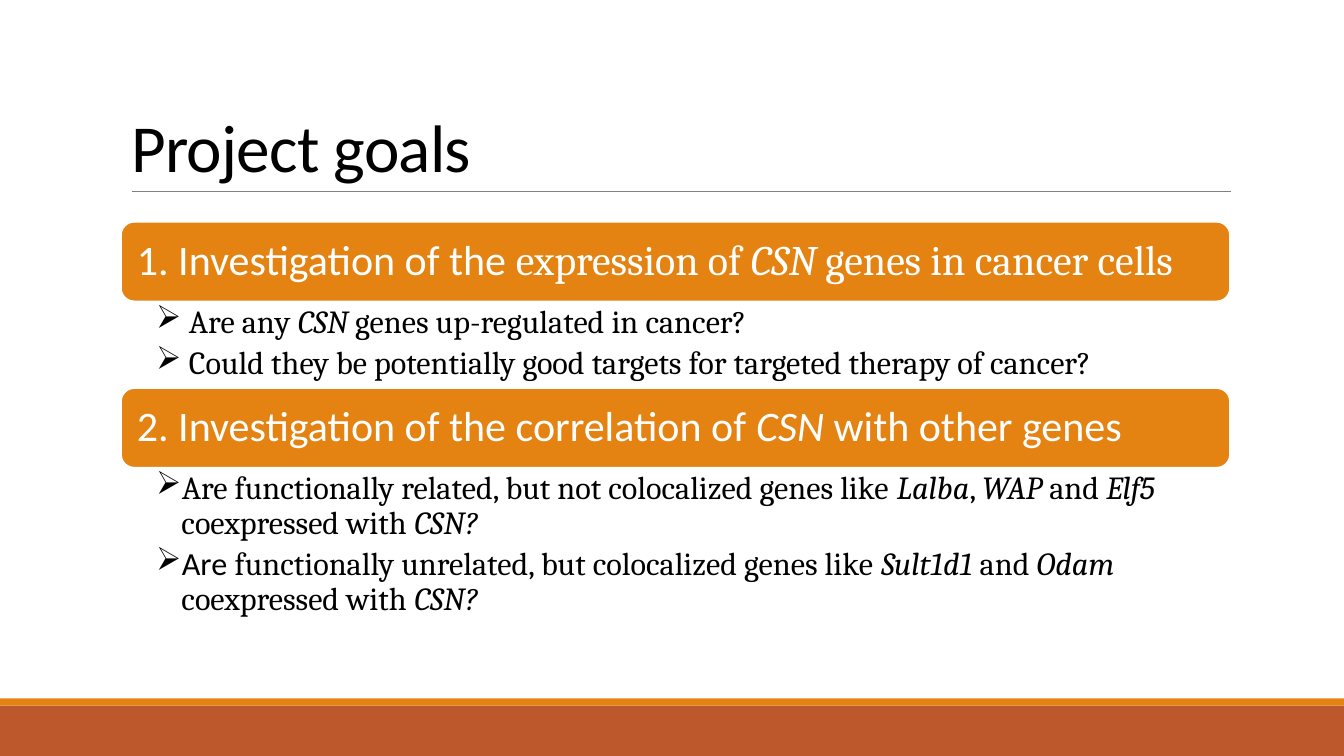
"""Build the project goals slide."""
from lxml.etree import SubElement
from pptx import Presentation
from pptx.dml.color import RGBColor
from pptx.enum.shapes import MSO_CONNECTOR as Connector, MSO_SHAPE as Shape
from pptx.enum.text import MSO_ANCHOR as Anchor, MSO_AUTO_SIZE as AutoSize, PP_ALIGN as Align
from pptx.oxml.ns import qn
from pptx.util import Inches, Pt

ORANGE = RGBColor(0xE4, 0x83, 0x12)
RUST = RGBColor(0xBD, 0x58, 0x2C)
GRAY = RGBColor(0x80, 0x80, 0x80)
BLACK = RGBColor(0, 0, 0)
WHITE = RGBColor(0xFF, 0xFF, 0xFF)
SANS, SERIF = "Calibri", "Cambria"
LEFT, WIDTH, BAR_HEIGHT = 1.2, 11, 0.79

GOALS = [
    (2.2, 0.87,
     [(SANS, "1. Investigation of the "), (SERIF, "expression of *CSN* genes in cancer cells")],
     [[(SERIF, " Are any *CSN* genes up-regulated in cancer?")],
      [(SERIF, " Could they be potentially good targets for targeted therapy of cancer?")]]),
    (3.85, 1.6,
     [(SANS, "2. Investigation of the correlation of *CSN* with other genes")],
     [[(SERIF, "Are functionally related, but not colocalized genes like "
               "*Lalba*, *WAP *and *Elf5 *coexpressed with *CSN?*")],
      [(SANS, "Are "), (SERIF, "functionally unrelated, but colocalized genes like "
                               "*Sult1d1 *and *Odam *coexpressed with *CSN?*")]]),
]


def write(paragraph, pieces, size, color, line_spacing=0.9, after=0, tracking=None):
    """Fill a paragraph from (font, text) pieces, with italics between asterisks."""
    paragraph.alignment = Align.LEFT
    paragraph.line_spacing = line_spacing
    paragraph.space_after = Pt(after)
    for font_name, text in pieces:
        for index, part in enumerate(text.split("*")):
            if not part:
                continue
            run = paragraph.add_run()
            run.text = part
            run.font.name = font_name
            run.font.size = Pt(size)
            run.font.color.rgb = color
            run.font.italic = index % 2 == 1
            if tracking is not None:
                run.font._element.set("spc", str(int(tracking * 100)))


def set_frame(frame, anchor, left, top, right, bottom):
    """Set wrapping, anchor and margins of a text frame."""
    frame.word_wrap = True
    frame.auto_size = AutoSize.NONE
    frame.vertical_anchor = anchor
    frame.margin_left, frame.margin_top = Inches(left), Inches(top)
    frame.margin_right, frame.margin_bottom = Inches(right), Inches(bottom)


class GoalSlide:
    """Hold the slide and its text sizes, and draw each kind of element."""

    title_size, heading_size, question_size = 48, 30, 23

    def __init__(self, deck):
        """Add a title-only slide to the deck."""
        self.slide = deck.slides.add_slide(deck.slide_layouts[5])

    def block(self, kind, left, top, width, height, fill, outline=None):
        """Draw a filled preset shape."""
        block = self.slide.shapes.add_shape(
            kind, Inches(left), Inches(top), Inches(width), Inches(height))
        block.shadow.inherit = False
        block.fill.solid()
        block.fill.fore_color.rgb = fill
        if outline is None:
            block.line.fill.background()
        else:
            block.line.color.rgb = outline
            block.line.width = Pt(1.25)
        return block

    def rule(self, left, right, y):
        """Draw the thin line below the title."""
        rule = self.slide.shapes.add_connector(
            Connector.STRAIGHT, Inches(left), Inches(y), Inches(right), Inches(y))
        rule.line.color.rgb = GRAY
        rule.line.width = Pt(0.5)
        SubElement(rule._element.spPr, qn("a:effectLst"))

    def title(self, text):
        """Place and format the title."""
        title = self.slide.shapes.title
        title.left, title.top = Inches(LEFT), Inches(0.31)
        title.width, title.height = Inches(WIDTH), Inches(1.59)
        set_frame(title.text_frame, Anchor.BOTTOM, 0.1, 0.05, 0.1, 0.05)
        write(title.text_frame.paragraphs[0], [(SANS, text)], self.title_size, BLACK,
              line_spacing=0.85, tracking=-0.5)

    def heading(self, top, pieces):
        """Draw a rounded bar with the goal in it."""
        bar = self.block(Shape.ROUNDED_RECTANGLE, LEFT, top, WIDTH, BAR_HEIGHT, ORANGE, WHITE)
        set_frame(bar.text_frame, Anchor.MIDDLE, 0.12, 0.12, 0.12, 0.12)
        write(bar.text_frame.paragraphs[0], pieces, self.heading_size, WHITE)

    def questions(self, top, height, items):
        """Write the bulleted questions of a goal."""
        frame = self.slide.shapes.add_textbox(
            Inches(LEFT), Inches(top), Inches(WIDTH), Inches(height)).text_frame
        set_frame(frame, Anchor.TOP, 0.35, 0.04, 0.23, 0.04)
        for index, pieces in enumerate(items):
            paragraph = frame.add_paragraph() if index else frame.paragraphs[0]
            write(paragraph, pieces, self.question_size, BLACK, after=4.6)
            properties = paragraph._p.get_or_add_pPr()
            properties.set("marL", str(Inches(0.25)))
            properties.set("indent", str(Inches(-0.25)))
            SubElement(properties, qn("a:buChar")).set("char", "➢")


deck = Presentation()
deck.slide_width, deck.slide_height = Inches(13.33), Inches(7.5)
page = GoalSlide(deck)
page.block(Shape.RECTANGLE, 0, 7, 13.33, 0.5, RUST)
page.block(Shape.RECTANGLE, 0, 6.93, 13.33, 0.07, ORANGE)
page.rule(1.31, 12.21, 1.9)
page.title("Project goals")
for top, height, goal, items in GOALS:
    page.heading(top, goal)
    page.questions(top + BAR_HEIGHT, height, items)
deck.save("out.pptx")
